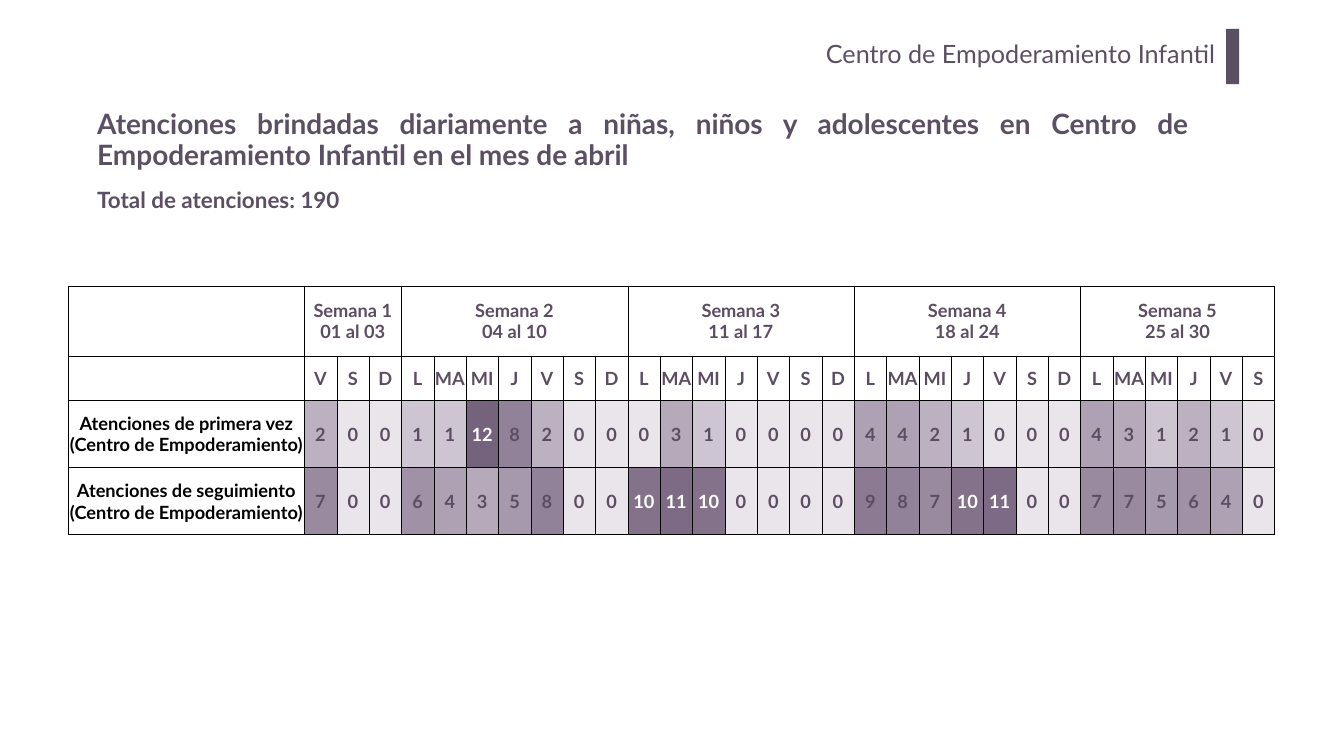
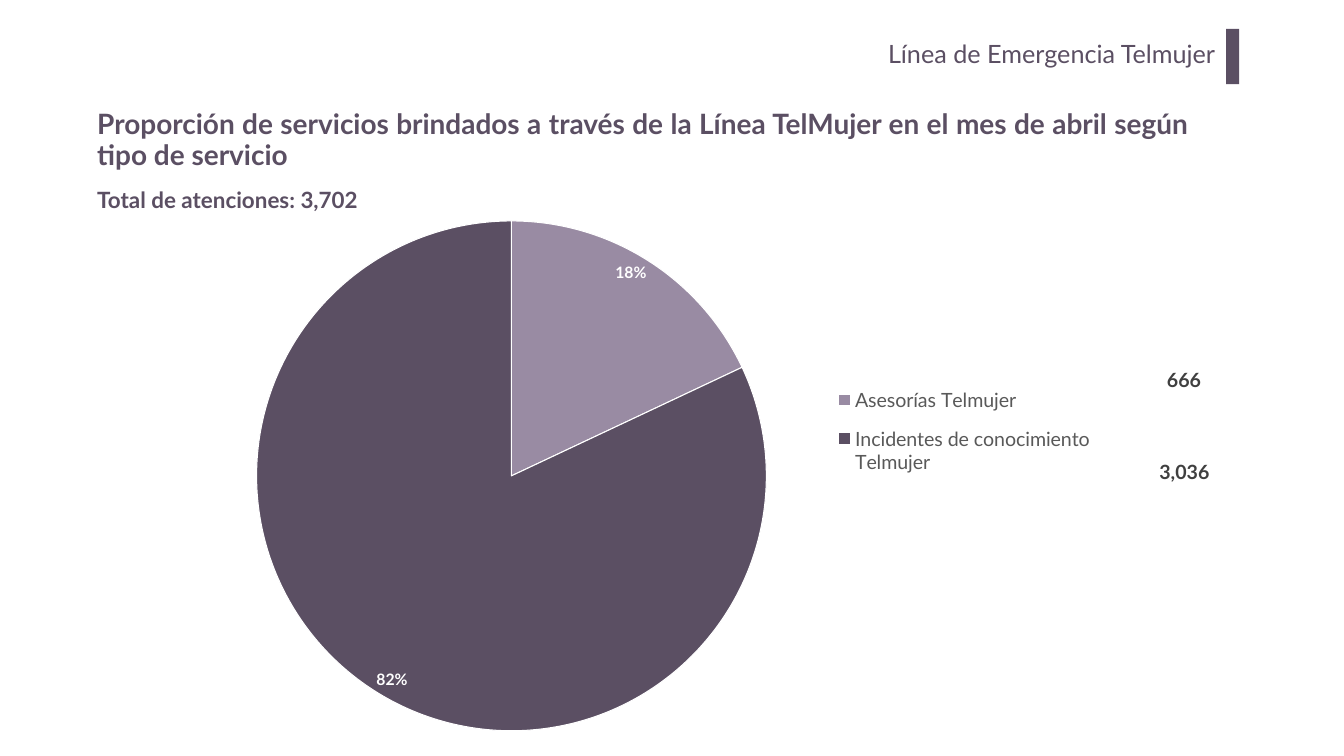
from dataclasses import dataclass
from itertools import cycle, islice

from lxml.etree import SubElement
from pptx import Presentation
from pptx.chart.data import CategoryChartData
from pptx.dml.color import RGBColor as RGB
from pptx.enum.chart import XL_CHART_TYPE as ChartType
from pptx.enum.chart import XL_LABEL_POSITION as LabelPos
from pptx.enum.chart import XL_LEGEND_POSITION as LegendPos
from pptx.enum.shapes import MSO_SHAPE as Shape
from pptx.enum.text import MSO_ANCHOR as Anchor
from pptx.enum.text import MSO_AUTO_SIZE as AutoSize
from pptx.enum.text import PP_ALIGN as Align
from pptx.oxml import parse_xml
from pptx.oxml.ns import nsdecls, qn
from pptx.util import Cm, Pt


@dataclass(frozen=True)
class Theme:
    font: str = "Lato"
    chart_font: str = "Arial"
    plum: RGB = RGB.from_string("5B4F63")
    table_plum: RGB = RGB.from_string("5C4D62")
    lilac: RGB = RGB.from_string("998BA3")
    white: RGB = RGB.from_string("FFFFFF")
    black: RGB = RGB.from_string("000000")
    legend_grey: RGB = RGB.from_string("595959")
    total_grey: RGB = RGB.from_string("404040")
    # Cell shade for each daily count, from 0 to 12
    shades: tuple = ("E9E5EB", "CDC5D1", "BCB1C1", "B5A9BA", "AEA1B4", "A799AD", "A091A6",
                     "998A9F", "928299", "8B7A92", "84728B", "7D6A84", "75627D")
    section_size: float = 36
    title_size: float = 40
    total_size: float = 32
    table_size: float = 26
    legend_size: float = 28
    label_size: float = 22.5
    chart_size: float = 10


THEME = Theme()

WEEKS = [("Semana 1", "01 al 03", 3), ("Semana 2", "04 al 10", 7), ("Semana 3", "11 al 17", 7),
         ("Semana 4", "18 al 24", 7), ("Semana 5", "25 al 30", 6)]
WEEKDAYS = ["L", "MA", "MI", "J", "V", "S", "D"]
FIRST_WEEKDAY = WEEKDAYS.index("V")
DAYS_IN_MONTH = 30
DAILY_COUNTS = [
    ("Atenciones de primera vez (Centro de Empoderamiento)",
     [2, 0, 0, 1, 1, 12, 8, 2, 0, 0, 0, 3, 1, 0, 0,
      0, 0, 4, 4, 2, 1, 0, 0, 0, 4, 3, 1, 2, 1, 0]),
    ("Atenciones de seguimiento (Centro de Empoderamiento)",
     [7, 0, 0, 6, 4, 3, 5, 8, 0, 0, 10, 11, 10, 0, 0,
      0, 0, 9, 8, 7, 10, 11, 0, 0, 7, 7, 5, 6, 4, 0]),
]
SERVICES = [("Asesorías Telmujer", 18, THEME.lilac),
            ("Incidentes de conocimiento Telmujer", 82, THEME.plum)]


def style_font(font, size, color, bold=False, name=THEME.font):
    font.name, font.size, font.bold = name, Pt(size), bold
    font.color.rgb = color


def add_text(slide, place, text, size, color=THEME.plum, bold=True, align=Align.LEFT,
             anchor=Anchor.TOP, inset=0.25):
    """Add a one-paragraph text box; the vertical inset is half the horizontal one."""
    frame = slide.shapes.add_textbox(*map(Cm, place)).text_frame
    frame.word_wrap = True
    frame.vertical_anchor = anchor
    frame.margin_left = frame.margin_right = Cm(inset)
    frame.margin_top = frame.margin_bottom = Cm(inset / 2)
    paragraph = frame.paragraphs[0]
    paragraph.alignment = align
    run = paragraph.add_run()
    run.text = text
    style_font(run.font, size, color, bold)
    return frame


def add_heading(slide, section, title, total):
    """Add the section name with its bar, the title and the total line."""
    add_text(slide, (10.19, 1.7, 51.56, 2.59), section, THEME.section_size, bold=False,
             align=Align.RIGHT, inset=0.5)

    bar = slide.shapes.add_shape(Shape.RECTANGLE, Cm(61.8), Cm(1.45), Cm(0.66), Cm(2.79))
    bar.shadow.inherit = False
    bar.fill.solid()
    bar.fill.fore_color.rgb = THEME.plum
    bar.line.fill.background()

    title_frame = add_text(slide, (4.65, 5.26, 55.5, 3.68), title, THEME.title_size,
                           align=Align.JUSTIFY, anchor=Anchor.MIDDLE)
    title_frame.paragraphs[0].line_spacing = 0.9
    total_frame = add_text(slide, (4.65, 9.27, 14.33, 1.63), f"Total de atenciones: {total}",
                           THEME.total_size)
    total_frame.auto_size = AutoSize.SHAPE_TO_FIT_TEXT


def frame_cell(cell, fill=None):
    """Give a cell thin black borders, narrow margins and an optional fill."""
    properties = cell._tc.get_or_add_tcPr()
    for side in ("lnL", "lnR", "lnT", "lnB"):
        border = SubElement(properties, qn(f"a:{side}"), w=str(Pt(0.5)))
        color = SubElement(SubElement(border, qn("a:solidFill")), qn("a:srgbClr"))
        color.set("val", str(THEME.black))
    if fill:
        cell.fill.solid()
        cell.fill.fore_color.rgb = RGB.from_string(fill)
    else:
        cell.fill.background()
    cell.margin_left = cell.margin_right = cell.margin_top = Cm(0.02)
    cell.margin_bottom = 0
    cell.vertical_anchor = Anchor.MIDDLE


def write_cell(cell, *lines, color=THEME.table_plum):
    paragraph = cell.text_frame.paragraphs[0]
    paragraph.alignment = Align.CENTER
    for index, line in enumerate(lines):
        if index:
            paragraph.add_line_break()
        run = paragraph.add_run()
        run.text = line
        style_font(run.font, THEME.table_size, color, bold=True)


def add_daily_table(slide):
    row_heights = [3.53, 2.24, 3.38, 3.38]
    label_width, day_width = 11.89, 1.63
    table = slide.shapes.add_table(
        len(row_heights), DAYS_IN_MONTH + 1, Cm(3.45), Cm(14.4),
        Cm(label_width + DAYS_IN_MONTH * day_width), Cm(sum(row_heights))).table
    table.first_row = table.horz_banding = False
    for row, height in zip(table.rows, row_heights):
        row.height = Cm(height)
    for index, column in enumerate(table.columns):
        column.width = Cm(day_width if index else label_width)

    for row in range(2):
        for column in range(DAYS_IN_MONTH + 1):
            frame_cell(table.cell(row, column))

    start = 1
    for week, dates, length in WEEKS:
        table.cell(0, start).merge(table.cell(0, start + length - 1))
        write_cell(table.cell(0, start), week, dates)
        start += length

    weekdays = islice(cycle(WEEKDAYS), FIRST_WEEKDAY, FIRST_WEEKDAY + DAYS_IN_MONTH)
    for day, weekday in enumerate(weekdays, 1):
        write_cell(table.cell(1, day), weekday)

    for row, (label, counts) in enumerate(DAILY_COUNTS, 2):
        frame_cell(table.cell(row, 0))
        write_cell(table.cell(row, 0), label, color=THEME.black)
        for day, count in enumerate(counts, 1):
            frame_cell(table.cell(row, day), THEME.shades[count])
            write_cell(table.cell(row, day), str(count),
                       color=THEME.white if count >= 10 else THEME.table_plum)


def set_layout(element, position, x, y, w, h, inner=False):
    """Fix a chart part at fractions of the chart area."""
    for old in element.findall(qn("c:layout")):
        element.remove(old)
    target = '<c:layoutTarget val="inner"/>' if inner else ""
    sizes = "".join(f'<c:{key} val="{value}"/>' for key, value in zip("xywh", (x, y, w, h)))
    element.insert(position, parse_xml(
        f'<c:layout {nsdecls("c")}><c:manualLayout>{target}<c:xMode val="edge"/>'
        f'<c:yMode val="edge"/>{sizes}</c:manualLayout></c:layout>'))


def add_service_pie(slide):
    data = CategoryChartData()
    data.categories = [name for name, _, _ in SERVICES]
    data.add_series("Series 1", [share for _, share, _ in SERVICES])
    chart = slide.shapes.add_chart(ChartType.PIE, Cm(5.87), Cm(10.87), Cm(53.09), Cm(26.49),
                                   data).chart
    style_font(chart.font, THEME.chart_size, THEME.black, name=THEME.chart_font)
    chart.has_title = False
    chart.has_legend = True
    chart.legend.position = LegendPos.RIGHT
    chart.legend.include_in_layout = False
    style_font(chart.legend.font, THEME.legend_size, THEME.legend_grey)

    pie = chart.plots[0]
    pie.vary_by_categories = True
    for index, (_, _, color) in enumerate(SERVICES):
        slice_format = pie.series[0].points[index].format
        slice_format.fill.solid()
        slice_format.fill.fore_color.rgb = color
        slice_format.line.color.rgb = THEME.white
        slice_format.line.width = Pt(1.5)

    labels = pie.series[0].data_labels
    labels.show_percentage, labels.show_value = True, False
    labels.number_format, labels.number_format_is_linked = "0%", False
    labels.position = LabelPos.INSIDE_END
    style_font(labels.font, THEME.label_size, THEME.white, bold=True)

    set_layout(chart._chartSpace.chart.plotArea, 0, 0.13, 0.01, 0.49, 0.97, inner=True)
    set_layout(chart.legend._element, 1, 0.67, 0.3, 0.27, 0.22)


def add_service_total(slide, place, total):
    add_text(slide, place, total, THEME.legend_size, THEME.total_grey, align=Align.CENTER)


def main():
    deck = Presentation()
    deck.slide_width, deck.slide_height = Cm(67.74), Cm(38.1)
    blank = deck.slide_layouts[6]

    daily = deck.slides.add_slide(blank)
    add_heading(daily, "Centro de Empoderamiento Infantil",
                "Atenciones brindadas diariamente a niñas, niños y adolescentes en Centro de "
                "Empoderamiento Infantil en el mes de abril", "190")
    add_daily_table(daily)

    services = deck.slides.add_slide(blank)
    add_heading(services, "Línea de Emergencia Telmujer",
                "Proporción de servicios brindados a través de la Línea TelMujer en el mes de "
                "abril según tipo de servicio", "3,702")
    add_service_pie(services)
    add_service_total(services, (58.34, 18.44, 2.67, 1.3), "666")
    add_service_total(services, (57.79, 23.04, 3.81, 1.3), "3,036")

    deck.save("out.pptx")


if __name__ == "__main__":
    main()
